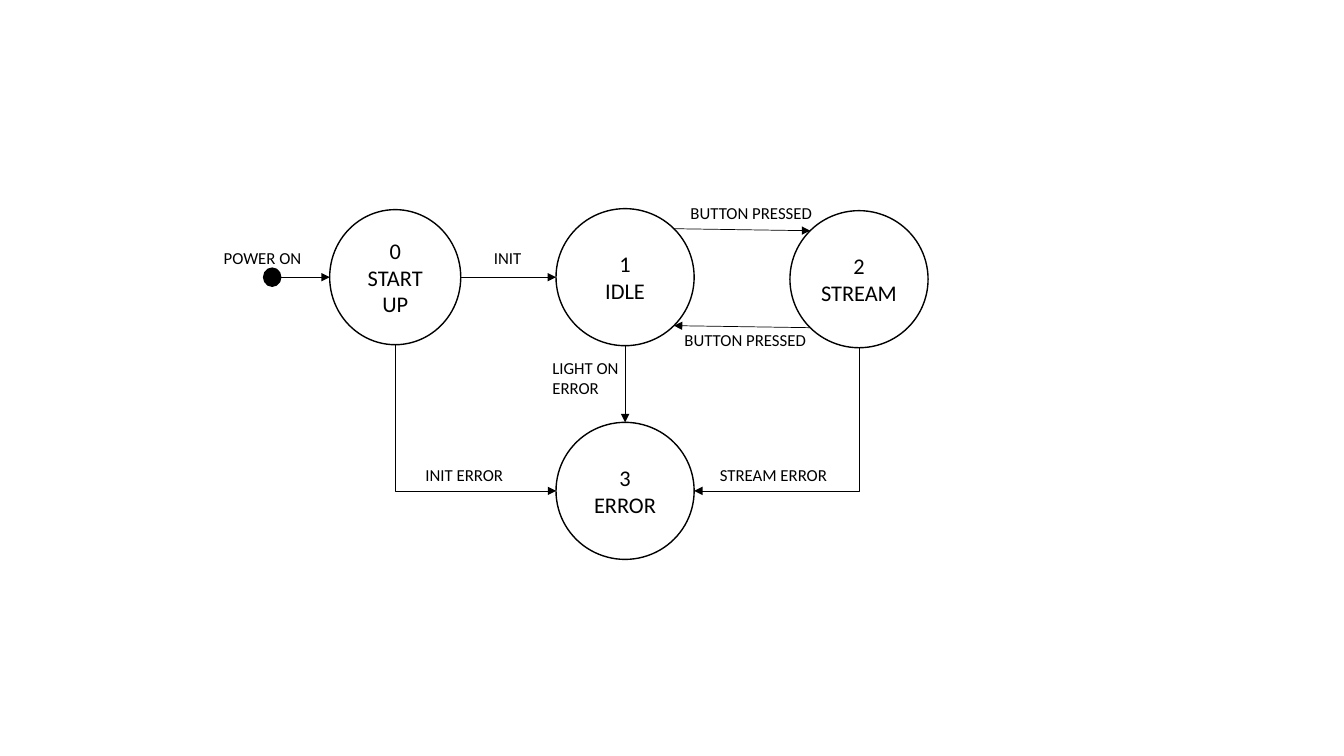
import math

import lxml.etree
import pptx
import pptx.dml.color
import pptx.enum.shapes
import pptx.enum.text
import pptx.oxml.ns
import pptx.util

Inches = pptx.util.Inches
Pt = pptx.util.Pt
qn = pptx.oxml.ns.qn
ALIGN = pptx.enum.text.PP_ALIGN
ANCHOR = pptx.enum.text.MSO_ANCHOR
CONNECTOR = pptx.enum.shapes.MSO_CONNECTOR

BLACK = "000000"
WHITE = "FFFFFF"
# Connection sites of an ellipse, counted anticlockwise from the top
TOP, TOP_LEFT, LEFT, BOTTOM_LEFT, BOTTOM, BOTTOM_RIGHT, RIGHT, TOP_RIGHT = range(8)

# name: (text lines, centre x, centre y, width, height), relative to the diagram
STATES = {
    "idle": (["1", "IDLE"], 4.2, 0.75, 1.37, 1.36),
    "start up": (["0", "START", "UP"], 1.92, 0.75, 1.3, 1.34),
    "stream": (["2", "STREAM"], 6.52, 0.77, 1.37, 1.36),
    "error": (["3", "ERROR"], 4.2, 2.87, 1.37, 1.36),
    "power": ([], 0.7, 0.75, 0.17, 0.18),
}
# (from state, site, to state, site, label lines, label left, top, width)
TRANSITIONS = [
    ("power", RIGHT, "start up", LEFT, ["POWER ON"], 0.12, 0.41, 1.18),
    ("start up", RIGHT, "idle", LEFT, ["INIT"], 2.8, 0.41, 0.5),
    ("start up", BOTTOM, "error", LEFT, ["INIT ERROR"], 2.12, 2.56, 1.08),
    ("idle", TOP_RIGHT, "stream", TOP_LEFT, ["BUTTON PRESSED"], 4.75, -0.04, 1.45),
    ("stream", BOTTOM_LEFT, "idle", BOTTOM_RIGHT, ["BUTTON PRESSED"], 4.69, 1.22, 1.45),
    ("stream", BOTTOM, "error", RIGHT, ["STREAM ERROR"], 5.04, 2.56, 1.45),
    ("idle", BOTTOM, "error", TOP, ["LIGHT ON", "ERROR"], 3.38, 1.5, 1.45),
]


def color(value):
    """Turn a hex string into a colour."""
    return pptx.dml.color.RGBColor.from_string(value)


def write_text(frame, lines, size=12, align=ALIGN.LEFT, anchor=ANCHOR.TOP):
    """Write one paragraph per line into a text frame."""
    frame.word_wrap = True
    frame.vertical_anchor = anchor
    for index, line in enumerate(lines):
        para = frame.paragraphs[0] if index == 0 else frame.add_paragraph()
        para.alignment = align
        span = para.add_run()
        span.text = line
        span.font.name = "Calibri"
        span.font.size = Pt(size)
        span.font.color.rgb = color(BLACK)


def add_state(page, lines, center_x, center_y, width, height):
    """Draw a state as a circle; a state without text is a solid dot."""
    circle = page.shapes.add_shape(
        pptx.enum.shapes.MSO_SHAPE.OVAL,
        center_x - Inches(width / 2), center_y - Inches(height / 2),
        Inches(width), Inches(height))
    circle.shadow.inherit = False
    circle.fill.solid()
    circle.fill.fore_color.rgb = color(WHITE if lines else BLACK)
    circle.line.color.rgb = color(BLACK)
    circle.line.width = Pt(1)
    frame = circle.text_frame
    frame.margin_left = frame.margin_right = 0
    write_text(frame, lines, size=16, align=ALIGN.CENTER, anchor=ANCHOR.MIDDLE)
    return circle


def site_point(circle, site):
    """Return the position of a connection site on a circle."""
    angle = math.radians(90 + 45 * site)
    return (round(circle.left + circle.width / 2 * (1 + math.cos(angle))),
            round(circle.top + circle.height / 2 * (1 - math.sin(angle))))


def bend(arrow, start, end):
    """Make a connector run straight down and then sideways to its end."""
    across, down = abs(end[0] - start[0]), end[1] - start[1]
    arrow.left = (start[0] + end[0] - down) // 2
    arrow.top = (start[1] + end[1] - across) // 2
    arrow.width, arrow.height = down, across
    rightward = end[0] > start[0]
    properties = arrow._element.spPr
    frame = properties.find(qn("a:xfrm"))
    frame.set("rot", str((270 if rightward else 90) * 60000))
    frame.set("flipH", "1" if rightward else "0")
    properties.find(qn("a:prstGeom")).set("prst", "bentConnector2")


def add_arrow(page, source, source_site, target, target_site):
    """Join two circles with an arrow, bent where it leaves downwards to a side."""
    start, end = site_point(source, source_site), site_point(target, target_site)
    bent = source_site == BOTTOM and target_site in (LEFT, RIGHT)
    kind = CONNECTOR.ELBOW if bent else CONNECTOR.STRAIGHT
    arrow = page.shapes.add_connector(kind, *start, *end)
    if bent:
        bend(arrow, start, end)
    arrow.line.color.rgb = color(BLACK)
    arrow.line.width = Pt(0.5)
    properties = arrow._element.spPr
    line = properties.find(qn("a:ln"))
    lxml.etree.SubElement(line, qn("a:tailEnd"), type="triangle")
    lxml.etree.SubElement(properties, qn("a:effectLst"))
    joints = arrow._element.find(".//" + qn("p:cNvCxnSpPr"))
    for tag, circle, site in (("a:stCxn", source, source_site),
                              ("a:endCxn", target, target_site)):
        lxml.etree.SubElement(joints, qn(tag), id=str(circle.shape_id), idx=str(site))


def draw_state_diagram(page, left, top):
    """Draw the states, their transitions and labels from a top left corner."""
    circles = {
        name: add_state(page, lines, left + Inches(x), top + Inches(y), width, height)
        for name, (lines, x, y, width, height) in STATES.items()}
    for source, leave, target, enter, lines, x, y, width in TRANSITIONS:
        add_arrow(page, circles[source], leave, circles[target], enter)
        label = page.shapes.add_textbox(
            left + Inches(x), top + Inches(y),
            Inches(width), Inches(0.1 + 0.2 * len(lines)))
        write_text(label.text_frame, lines)


deck = pptx.Presentation()
deck.slide_width = Inches(13.33)
deck.slide_height = Inches(7.5)
page = deck.slides.add_slide(deck.slide_layouts[6])
draw_state_diagram(page, Inches(2), Inches(2))
deck.save("out.pptx")
